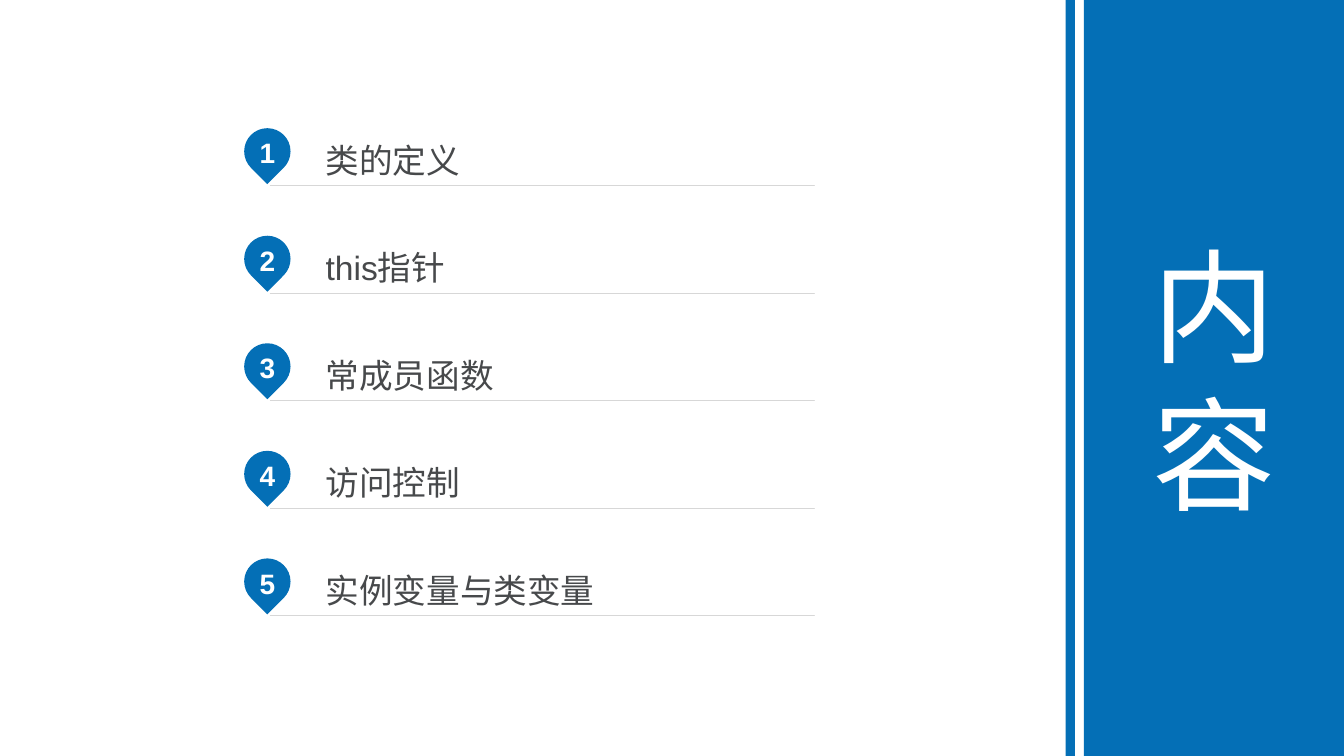
from dataclasses import dataclass
from math import cos, radians, sin, sqrt, tan

from lxml.etree import Element
from pptx import Presentation
from pptx.dml.color import RGBColor
from pptx.enum.shapes import MSO_SHAPE
from pptx.enum.text import MSO_ANCHOR, PP_ALIGN
from pptx.oxml.ns import qn
from pptx.shapes.autoshape import Shape
from pptx.slide import Slide
from pptx.util import Inches, Pt

BLUE = RGBColor(0x04, 0x6F, 0xB6)
GREY = RGBColor(0xD7, 0xD7, 0xD7)
INK = RGBColor(0x47, 0x49, 0x4B)
WHITE = RGBColor(0xFF, 0xFF, 0xFF)

COLUMNS, ROWS = 1333, 750
CELL = Inches(0.01)
FIRST_ROW, ROW_STEP = 127.2, 106.7
PIN_CENTRE, PIN_RADIUS = 265.2, 23
PIN_ANGLES = (-225, -180, -90, 0, 45)
ENTRY_LEFT, ENTRY_WIDTH, ENTRY_HEIGHT = 268, 540, 55
ENTRY_DROP = 1.6

Point = tuple[int, int]


@dataclass(frozen=True)
class Entry:
    number: int
    title: str

    @property
    def top(self) -> float:
        return FIRST_ROW + (self.number - 1) * ROW_STEP


@dataclass(frozen=True)
class Band:
    left: float
    width: float
    text: str = ""


TITLES = ("类的定义", "this指针", "常成员函数", "访问控制", "实例变量与类变量")
ENTRIES = [Entry(number, title) for number, title in enumerate(TITLES, 1)]
BANDS = (Band(1075, 258, "内容"), Band(1057, 9))


def cells(count: float) -> int:
    return round(count * CELL)


def paint(shape: Shape) -> None:
    shape.shadow.inherit = False
    shape.fill.solid()
    shape.fill.fore_color.rgb = BLUE
    shape.line.fill.background()


def write(shape: Shape, text: str, size: float, color: RGBColor,
          align: PP_ALIGN, bold: bool = False, spacing: float = 1.0) -> None:
    frame = shape.text_frame
    frame.word_wrap = True
    frame.vertical_anchor = MSO_ANCHOR.MIDDLE
    para = frame.paragraphs[0]
    para.text = text
    para.alignment = align
    para.line_spacing = spacing
    para.font.name = "Arial"
    para.font.size = Pt(size)
    para.font.bold = bold
    para.font.color.rgb = color


def set_margins(shape: Shape, left: float, top: float, right: float, bottom: float) -> None:
    frame = shape.text_frame
    frame.margin_left, frame.margin_top = cells(left), cells(top)
    frame.margin_right, frame.margin_bottom = cells(right), cells(bottom)


def pin_point(middle: float, degrees: float, pull: float = 0) -> Point:
    angle = radians(degrees)
    return (cells(PIN_CENTRE + PIN_RADIUS * (cos(angle) - pull * sin(angle))),
            cells(middle + PIN_RADIUS * (sin(angle) + pull * cos(angle))))


def curve_points(middle: float, start: float, end: float) -> list[Point]:
    pull = 4 / 3 * tan(radians(end - start) / 4)
    return [pin_point(middle, start, pull), pin_point(middle, end, -pull),
            pin_point(middle, end)]


def bend(shape: Shape) -> None:
    outline = shape.element.find(".//" + qn("a:path"))
    lines = outline.findall(qn("a:lnTo"))[1:]
    for first in range(0, len(lines), 3):
        curve = Element(qn("a:cubicBezTo"))
        lines[first].addprevious(curve)
        for line in lines[first:first + 3]:
            curve.append(line[0])
            outline.remove(line)


def draw_pin(page: Slide, entry: Entry) -> None:
    middle = entry.top + PIN_RADIUS
    points = [pin_point(middle, PIN_ANGLES[0])]
    for start, end in zip(PIN_ANGLES, PIN_ANGLES[1:]):
        points += curve_points(middle, start, end)
    builder = page.shapes.build_freeform(
        cells(PIN_CENTRE), cells(middle + PIN_RADIUS * sqrt(2)))
    builder.add_line_segments(points, close=True)
    pin = builder.convert_to_shape()
    bend(pin)
    paint(pin)
    set_margins(pin, 10, 5, 10, 12)
    write(pin, str(entry.number), 20, WHITE, PP_ALIGN.CENTER, bold=True)


def draw_title(page: Slide, entry: Entry) -> None:
    left, right = cells(ENTRY_LEFT), cells(ENTRY_LEFT + ENTRY_WIDTH)
    top = cells(entry.top + ENTRY_DROP)
    bottom = top + cells(ENTRY_HEIGHT)
    builder = page.shapes.build_freeform(left, bottom)
    builder.add_line_segments([(right, bottom), (left, bottom)], close=True)
    builder.move_to(left, top)
    builder.add_line_segments([(left, top), (left, top)], close=True)
    title = builder.convert_to_shape()
    title.shadow.inherit = False
    title.fill.background()
    title.line.color.rgb = GREY
    title.line.width = Pt(0.25)
    set_margins(title, 55, 0, 0, 4)
    write(title, entry.title, 24, INK, PP_ALIGN.LEFT, spacing=1.2)


def draw_band(page: Slide, band: Band) -> None:
    shape = page.shapes.add_shape(MSO_SHAPE.RECTANGLE, cells(band.left), 0,
                                  cells(band.width), cells(ROWS))
    paint(shape)
    if band.text:
        write(shape, band.text, 88, WHITE, PP_ALIGN.CENTER)


def main() -> None:
    deck = Presentation()
    deck.slide_width, deck.slide_height = cells(COLUMNS), cells(ROWS)
    page = deck.slides.add_slide(deck.slide_layouts[6])
    for entry in ENTRIES:
        draw_pin(page, entry)
        draw_title(page, entry)
    for band in BANDS:
        draw_band(page, band)
    deck.save("out.pptx")


if __name__ == "__main__":
    main()
